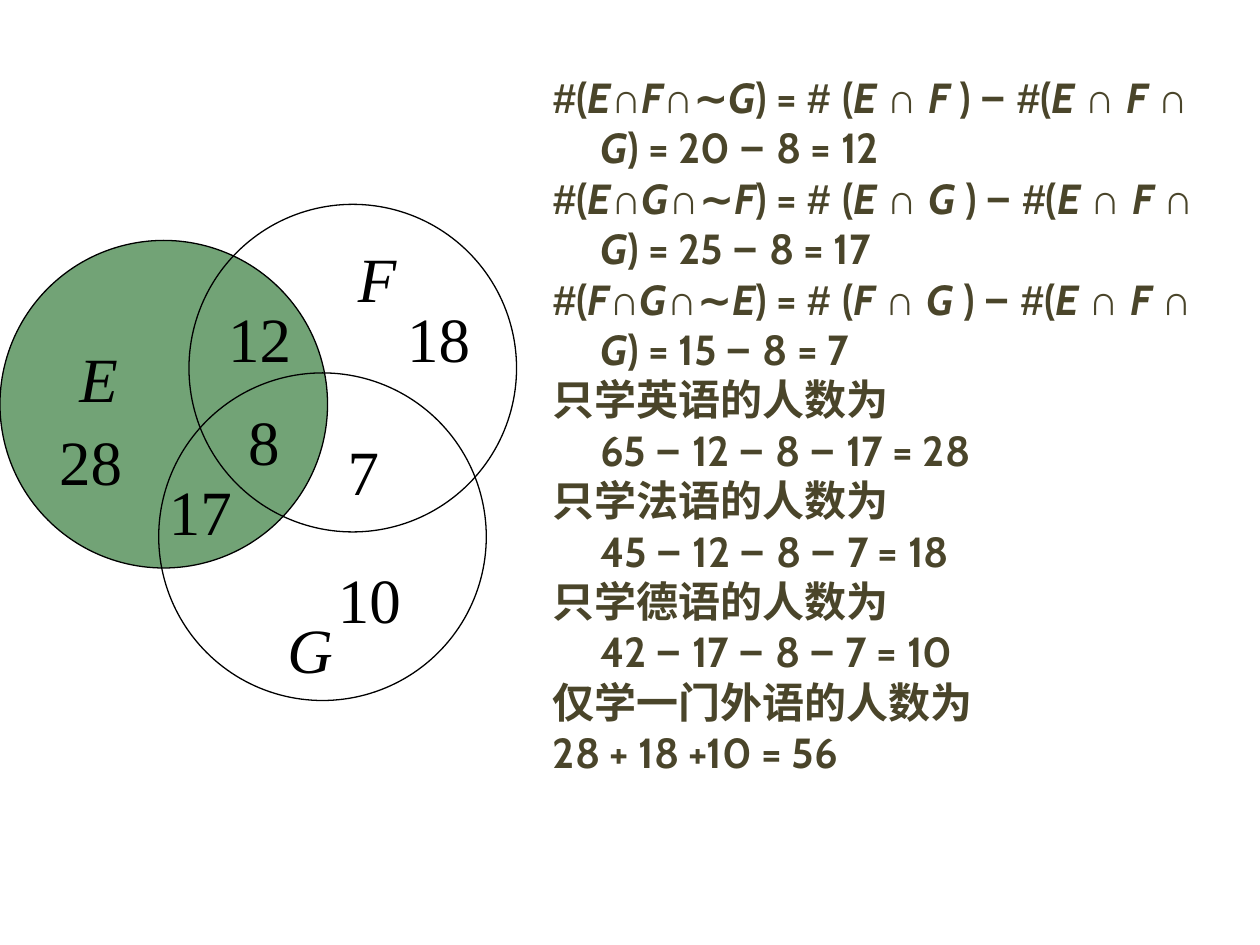
from itertools import groupby

from pptx import Presentation
from pptx.dml.color import RGBColor
from pptx.enum.shapes import MSO_SHAPE
from pptx.util import Pt


def color(hex_code):
    return RGBColor.from_string(hex_code)


def add_text(paragraph, text, *, font, size, hex_code, bold=False, italic=False):
    run = paragraph.add_run()
    run.text = text
    run.font.name = font
    run.font.size = Pt(size)
    run.font.bold = bold
    run.font.italic = italic
    run.font.color.rgb = color(hex_code)


class VennSlide:
    INK = "4A452A"
    BLACK = "000000"
    ENGLISH_FILL = "72A376"
    DIAMETER = 187.2
    HANGING = 27

    def __init__(self, presentation):
        self.slide = presentation.slides.add_slide(presentation.slide_layouts[6])

    def circle(self, left, top, fill=None):
        circle = self.slide.shapes.add_shape(
            MSO_SHAPE.OVAL, Pt(left), Pt(top), Pt(self.DIAMETER), Pt(self.DIAMETER))
        circle.shadow.inherit = False
        if fill:
            circle.fill.solid()
            circle.fill.fore_color.rgb = color(fill)
        else:
            circle.fill.background()
        circle.line.color.rgb = color(self.BLACK)
        circle.line.width = Pt(0.75)

    def frame(self, left, top, width, height):
        frame = self.slide.shapes.add_textbox(
            Pt(left), Pt(top), Pt(width), Pt(height)).text_frame
        frame.word_wrap = True
        return frame

    def label(self, text, left, top):
        frame = self.frame(left, top, 28 if text.isalpha() else 39.6, 43.2)
        frame.margin_left = frame.margin_right = 0
        frame.margin_top = frame.margin_bottom = 0
        add_text(frame.paragraphs[0], text, font="Times New Roman", size=36,
                 hex_code=self.BLACK, italic=text.isalpha())

    def math_line(self, paragraph, line):
        """Set names in italics and operators in Arial; spaces follow what precedes."""
        kind = ("Cabin", False)

        def kind_of(char):
            nonlocal kind
            if char != " ":
                kind = ("Arial" if char in "#∩∼−" else "Cabin", char in "EFG")
            return kind

        for (font, italic), chars in groupby(line, kind_of):
            add_text(paragraph, "".join(chars), font=font, size=24,
                     hex_code=self.INK, bold=True, italic=italic)

    def derivation(self, paragraphs, left, top, width, height):
        frame = self.frame(left, top, width, height)
        for index, text in enumerate(paragraphs):
            paragraph = frame.add_paragraph() if index else frame.paragraphs[0]
            paragraph.line_spacing = Pt(28.8)
            properties = paragraph._p.get_or_add_pPr()
            properties.set("marL", str(Pt(self.HANGING)))
            properties.set("indent", str(-Pt(self.HANGING)))
            for number, line in enumerate(text.split("\n")):
                if number:
                    paragraph.add_line_break()
                self.math_line(paragraph, line)


def main():
    presentation = Presentation()
    presentation.slide_width, presentation.slide_height = Pt(720), Pt(540)
    venn = VennSlide(presentation)

    # Derivation: pairwise overlaps, then single-language counts
    overlaps = [("E", "F", "G", "20 − 8 = 12"),
                ("E", "G", "F", "25 − 8 = 17"),
                ("F", "G", "E", "15 − 8 = 7")]
    paragraphs = [f"#({a}∩{b}∩∼{c}) = # ({a} ∩ {b} ) − #(E ∩ F ∩ G) = {result}"
                  for a, b, c, result in overlaps]
    singles = [("英", "65 − 12 − 8 − 17 = 28"),
               ("法", "45 − 12 − 8 − 7 = 18"),
               ("德", "42 − 17 − 8 − 7 = 10")]
    paragraphs += [f"只学{language}语的人数为\n{result}" for language, result in singles]
    paragraphs += ["仅学一门外语的人数为", "28 + 18 +10 = 56"]
    venn.derivation(paragraphs, 308.9, 37.4, 393.8, 485.3)

    # Circles: English, German, French
    venn.circle(0, 137.4, fill=VennSlide.ENGLISH_FILL)
    venn.circle(90.7, 213.1)
    venn.circle(108, 116.8)

    # Set names and region counts
    for text, left, top in [
            ("E", 45.4, 194), ("F", 204.5, 137), ("G", 164.2, 349),
            ("8", 141.8, 230), ("12", 130.3, 171), ("17", 96.5, 270),
            ("7", 198.7, 247), ("28", 33.8, 241.5), ("18", 232.6, 171),
            ("10", 193, 320.5)]:
        venn.label(text, left, top)

    presentation.save("out.pptx")


if __name__ == "__main__":
    main()
